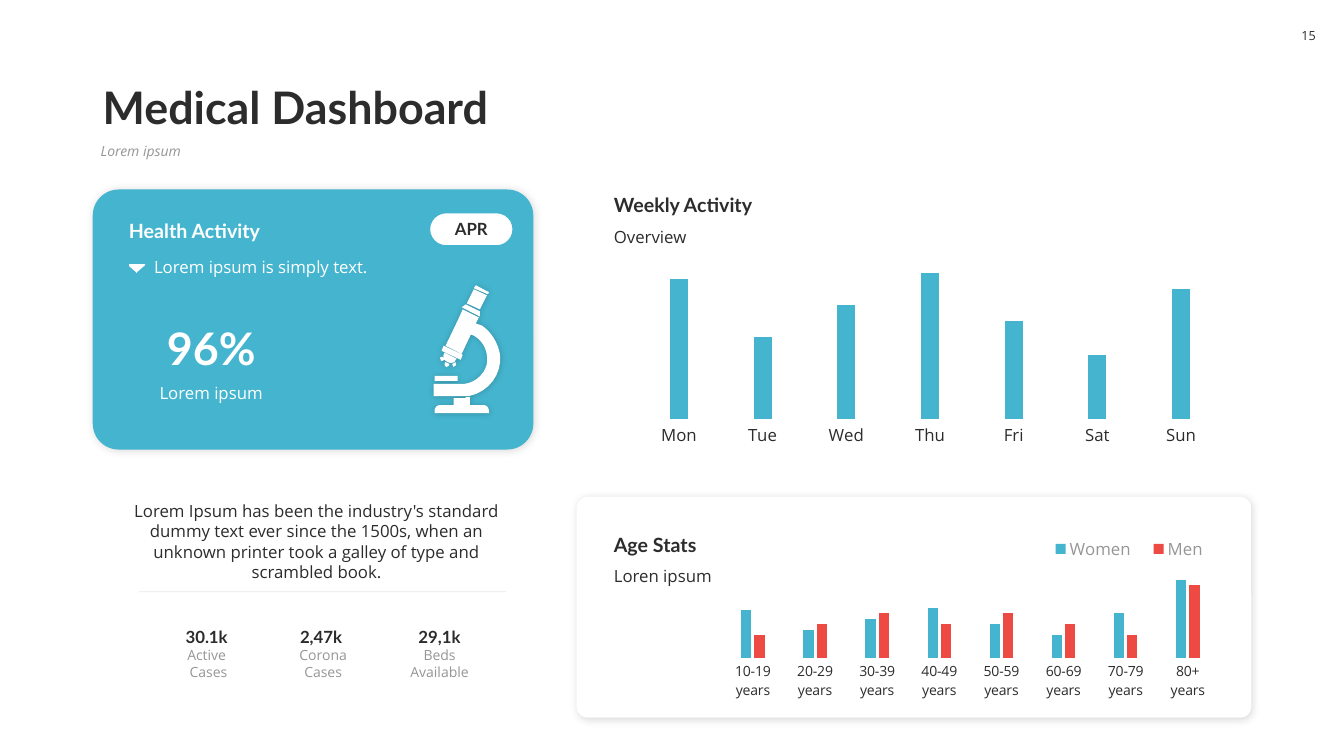
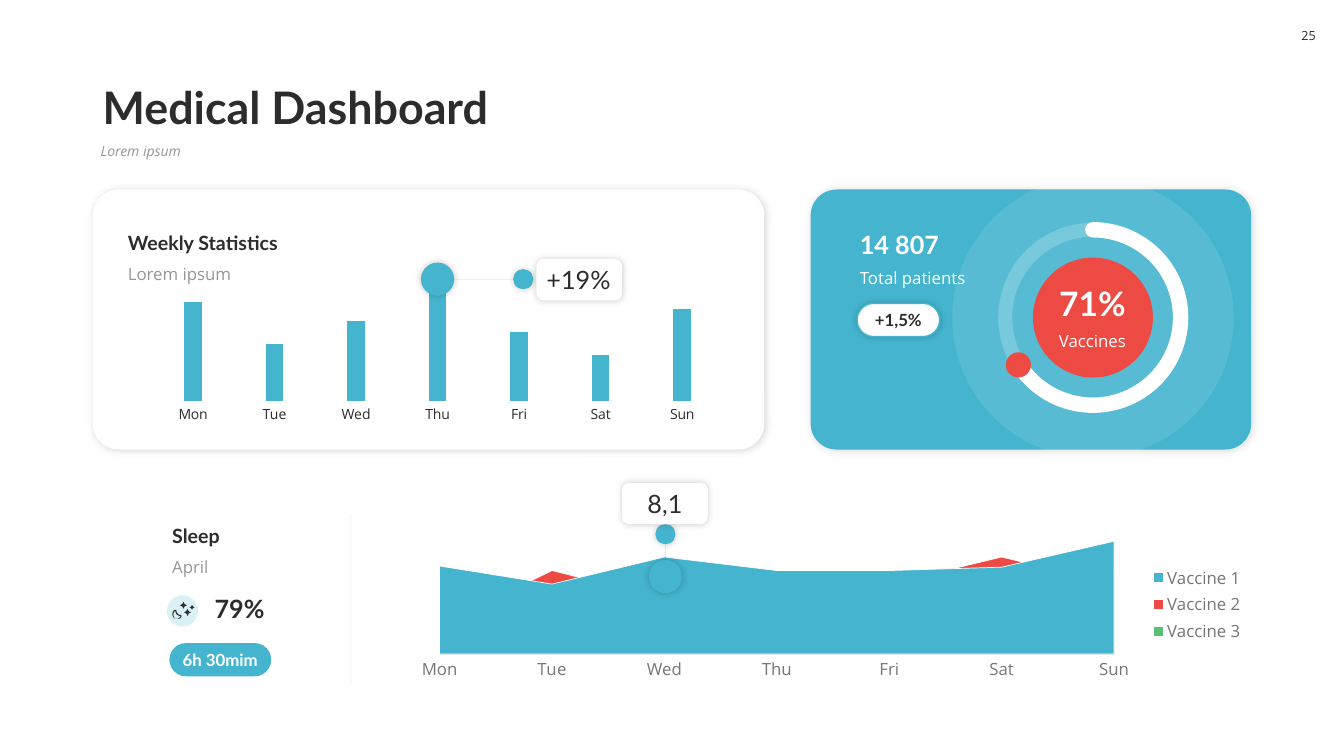
from dataclasses import dataclass
from functools import partial

from lxml.etree import SubElement
from pptx import Presentation
from pptx.chart.data import CategoryChartData
from pptx.dml.color import RGBColor
from pptx.enum.chart import XL_CHART_TYPE, XL_LEGEND_POSITION, XL_TICK_MARK
from pptx.enum.shapes import MSO_CONNECTOR, MSO_SHAPE
from pptx.enum.text import MSO_ANCHOR, PP_ALIGN
from pptx.oxml.ns import qn
from pptx.util import Inches, Pt


@dataclass(frozen=True)
class Theme:
    blue: str = "45B5CF"
    red: str = "ED4A43"
    green: str = "5BBE77"
    ink: str = "2C2C2C"
    gray: str = "969696"
    slate: str = "767676"
    rule: str = "DFDFDF"
    white: str = "FFFFFF"
    head: str = "Lato"
    body: str = "Open Sans"
    huge: int = 32
    large: int = 24
    big: int = 18
    mid: int = 14
    base: int = 12
    small: int = 10
    tiny: int = 9


T = Theme()
GLOW = (20, 5, 0)
DROP = (15, 6, 1)
LEFT, MID = PP_ALIGN.LEFT, PP_ALIGN.CENTER
TOP, CENTER, LOW = MSO_ANCHOR.TOP, MSO_ANCHOR.MIDDLE, MSO_ANCHOR.BOTTOM
OVAL, ROUND = MSO_SHAPE.OVAL, MSO_SHAPE.ROUNDED_RECTANGLE
DAYS = ("Mon", "Tue", "Wed", "Thu", "Fri", "Sat", "Sun")
AGES = [f"{n}-{n + 9} years" for n in range(10, 80, 10)] + ["80+ years"]

ARROW = ["144,263 136,270 C 136,271 135,271 135,270 128,264 "
         "C 128,262 128,262 129,262 143,262 C 144,262 144,262 144,263"]
SCOPE = [
    "466,394 466,402 480,402 C 483,402 485,405 485,408 485,410 431,410 431,408 "
    "C 431,405 433,402 436,402 450,402 450,395 462,395 462,394",
    "454,373 454,378 431,378 431,373",
    "452,359 452,361 C 453,362 452,363 451,363 450,364 C 450,364 449,363 449,362 448,361 449,361",
    "442,359 C 443,360 443,360 444,360 C 444,360 445,360 445,361 446,361 445,363 "
    "C 444,364 443,364 442,364 442,363 C 441,363 441,362 441,361",
    "439,354 440,356 441,357 439,358 C 438,358 437,358 437,357 437,356 C 436,356 437,355 437,354",
    "441,350 453,356 452,357 C 451,360 447,361 444,359 C 441,358 439,355 440,352",
    "440,343 459,352 457,357 438,348",
    "459,307 475,315 472,321 478,323 C 487,329 494,340 496,352 C 498,371 485,389 465,393 "
    "430,393 430,381 460,381 465,380 C 477,376 485,365 483,353 C 482,344 477,337 470,333 "
    "467,332 458,351 442,343 454,318",
    "462,302 476,309 476,314 458,305",
    "470,287 483,293 476,307 463,301",
    "472,283 485,290 484,292 470,286",
]
MOON = ["175,606 C 175,605 175,605 174,605 C 172,605 171,607 171,610 "
        "C 171,612 173,614 176,614 C 178,614 180,613 180,611 C 180,610 180,610 179,610 "
        "C 177,610 175,608 175,606",
        "176,614 C 173,614 172,612 172,610 C 172,608 173,606 174,606 "
        "C 174,609 176,611 179,611 C 179,612 177,614 176,614"]
STARS = [(190.5, 602.5, 2.5), (182, 600.5, 3.5), (186, 607.5, 3.5)]


def tone(code):
    return RGBColor.from_string(code)


def fade(node, part):
    for clr in list(node.iter(qn("a:srgbClr"))):
        SubElement(clr, qn("a:alpha"), val=str(part * 1000))


def shade(shape, glow):
    shape.shadow.inherit = False
    if glow:
        part, blur, dist = glow
        node = SubElement(shape.element.spPr.xpath("a:effectLst")[0], qn("a:outerShdw"),
                          blurRad=str(Pt(blur)), dist=str(Pt(dist)),
                          dir="2700000", rotWithShape="0")
        SubElement(node, qn("a:srgbClr"), val="000000")
        fade(node, part)


def write(frame, words, size=T.base, color=T.ink, face=T.body, bold=False,
          slant=False, align=LEFT, lead=None):
    para = frame.paragraphs[0]
    if para.runs:
        para = frame.add_paragraph()
    para.alignment = align
    if lead:
        para.line_spacing = lead
    run = para.add_run()
    run.text = words
    font = run.font
    font.size, font.name, font.bold, font.italic = Pt(size), face, bold, slant
    font.color.rgb = tone(color)


def area(slide, box, anchor=TOP):
    frame = slide.shapes.add_textbox(*map(Inches, box)).text_frame
    frame.word_wrap = True
    frame.vertical_anchor = anchor
    return frame


def label(slide, box, words, anchor=TOP, **look):
    write(area(slide, box, anchor), words, **look)


head = partial(label, anchor=LOW, face=T.head, bold=True, size=T.mid)


def form(slide, kind, box, fill=None, line=None, width=1, part=None, bend=(), glow=None):
    shape = slide.shapes.add_shape(kind, *map(Inches, box))
    for i, value in enumerate(bend):
        shape.adjustments[i] = value
    if fill:
        shape.fill.solid()
        shape.fill.fore_color.rgb = tone(fill)
    else:
        shape.fill.background()
    if line:
        shape.line.color.rgb = tone(line)
        shape.line.width = Pt(width)
    else:
        shape.line.fill.background()
    if part:
        fade(shape.element.spPr, part)
    shade(shape, glow)
    return shape


def badge(slide, box, words, pad=(0, 0), look=None, wrap=True, **style):
    frame = form(slide, ROUND, box, **style).text_frame
    frame.margin_left = frame.margin_right = Inches(pad[0])
    frame.margin_top = frame.margin_bottom = Inches(pad[1])
    frame.word_wrap = wrap
    frame.vertical_anchor = CENTER
    write(frame, words, **{"align": MID, "face": T.head, **(look or {})})


def pill(slide, box, words, color=T.ink, **style):
    badge(slide, box, words, look={"bold": True, "color": color}, bend=[0.5], **style)


def rule(slide, start, end):
    line = slide.shapes.add_connector(MSO_CONNECTOR.STRAIGHT, *map(Inches, start + end))
    line.line.color.rgb = tone(T.ink)
    line.line.width = Pt(0.5)
    fade(line.element.spPr, 10)
    SubElement(line.element.spPr, qn("a:effectLst"))


def trace(path):
    marks = iter(path.split())
    spots = []

    def spot(mark):
        return tuple(float(n) for n in mark.split(","))

    for mark in marks:
        if mark != "C":
            spots.append(spot(mark))
            continue
        a, b, c, d = spots[-1], *(spot(next(marks)) for _ in range(3))
        for step in range(1, 9):
            t = step / 8
            u = 1 - t
            spots.append(tuple(u**3 * p + 3 * u * u * t * q + 3 * u * t * t * r + t**3 * s
                               for p, q, r, s in zip(a, b, c, d)))
    return [tuple(Inches(n / 100) for n in pair) for pair in spots]


def draw(slide, paths, fill, glow=None):
    first, *rest = [trace(path) for path in paths]
    pen = slide.shapes.build_freeform(*first[0])
    pen.add_line_segments(first[1:], close=True)
    for spots in rest:
        pen.move_to(*spots[0])
        pen.add_line_segments(spots[1:], close=True)
    shape = pen.convert_to_shape()
    shape.fill.solid()
    shape.fill.fore_color.rgb = tone(fill)
    shape.line.fill.background()
    shade(shape, glow)


def star(x, y, r):
    k = r / 3
    spots = [(0, -r), (k, -k), (r, 0), (k, k), (0, r), (-k, k), (-r, 0), (-k, -k)]
    return " ".join(f"{x + a},{y + b}" for a, b in spots)


def place(node, index, box, spot):
    for old in node.xpath("c:layout"):
        node.remove(old)
    root = SubElement(node, qn("c:layout"))
    node.insert(index, root)
    grid = SubElement(root, qn("c:manualLayout"))
    if index == 0:
        SubElement(grid, qn("c:layoutTarget"), val="inner")
    left, top, wide, high = box
    x, y, w, h = spot
    for name in ("xMode", "yMode"):
        SubElement(grid, qn(f"c:{name}"), val="edge")
    sides = ((x - left) / wide, (y - top) / high, w / wide, h / high)
    for name, value in zip("xywh", sides):
        SubElement(grid, qn(f"c:{name}"), val=f"{value:.4f}")


def graph(slide, box, plot, cats, rows, size=T.base, gap=360, color=T.ink,
          key=None, side=None, tint=T.gray, filled=False):
    data = CategoryChartData()
    data.categories = cats
    for name, values, _ in rows:
        data.add_series(name, values)
    kind = XL_CHART_TYPE.AREA if filled else XL_CHART_TYPE.COLUMN_CLUSTERED
    chart = slide.shapes.add_chart(kind, *map(Inches, box), data).chart
    chart.has_title = False
    chart.font.size, chart.font.name = Pt(T.base), T.body
    chart.font.color.rgb = tone(T.ink)
    value = chart.value_axis
    value.has_major_gridlines = False
    value.minimum_scale, value.maximum_scale = 0, 100
    value.visible = False
    axis = chart.category_axis
    axis.major_tick_mark = XL_TICK_MARK.NONE
    font = axis.tick_labels.font
    font.size, font.name = Pt(size), T.body
    font.color.rgb = tone(color)
    group = chart.plots[0]
    group.vary_by_categories = False
    for item, (_, _, fill) in zip(group.series, rows):
        item.format.fill.solid()
        item.format.fill.fore_color.rgb = tone(fill)
        if filled:
            item.format.line.color.rgb = tone(T.white)
            item.format.line.width = Pt(0.5)
    if filled:
        axis.format.line.color.rgb = tone(T.rule)
        axis.format.line.width = Pt(0.75)
        chart.element.xpath(".//c:crossBetween")[0].set("val", "midCat")
    else:
        axis.format.line.fill.background()
        group.gap_width, group.overlap = gap, -30
    place(chart.element.xpath(".//c:plotArea")[0], 0, box, plot)
    chart.has_legend = bool(key)
    if key:
        legend = chart.legend
        legend.position = side
        legend.include_in_layout = False
        legend.font.size, legend.font.name = Pt(T.base), T.body
        legend.font.color.rgb = tone(tint)
        place(chart.element.xpath(".//c:legend")[0], 1, box, key)


def dot(slide, x, y, size, **style):
    form(slide, OVAL, (x - size / 2, y - size / 2, size, size), **style)


def flag(slide, big, small, line, box, words, align):
    dot(slide, *big, 0.33, fill=T.blue, glow=GLOW)
    rule(slide, *line)
    dot(slide, *small, 0.2, fill=T.blue, glow=GLOW)
    badge(slide, box, words, pad=(0.08, 0.05), look={"size": T.big, "align": align},
          fill=T.white, glow=GLOW)


def card(slide, box, fill=T.white, bend=0.1):
    form(slide, ROUND, box, fill=fill, bend=[bend], glow=DROP)


def start(deck, page):
    slide = deck.slides.add_slide(deck.slide_layouts[6])
    head(slide, (0.92, 0.58, 11.5, 0.8), "Medical Dashboard", size=T.huge, lead=0.9)
    label(slide, (0.9, 1.38, 11.52, 0.36), "Lorem ipsum", size=T.small,
          color=T.gray, slant=True, lead=0.9)
    badge(slide, (12.8, 0.18, 0.36, 0.35), page, pad=(0, 0.05), wrap=False,
          look={"size": T.tiny, "face": T.body}, fill=T.white, bend=[0.27])
    return slide


def health(deck):
    slide = start(deck, "15")
    card(slide, (0.92, 1.88, 4.37, 2.58), T.blue)
    head(slide, (1.28, 3.12, 1.63, 0.64), "96%", size=T.huge, color=T.white, align=MID)
    label(slide, (1.28, 3.75, 1.63, 0.3), "Lorem ipsum", color=T.white, align=MID)
    pill(slide, (4.26, 2.11, 0.83, 0.33), "APR", fill=T.white, line=T.blue)
    head(slide, (1.18, 2.11, 2.51, 0.34), "Health Activity", color=T.white)
    label(slide, (1.43, 2.5, 3.67, 0.3), "Lorem ipsum is simply text.", color=T.white)
    draw(slide, ARROW, T.white)
    draw(slide, SCOPE, T.white, GLOW)
    head(slide, (5.99, 1.86, 2.86, 0.34), "Weekly Activity")
    label(slide, (5.99, 2.2, 2.86, 0.3), "Overview")
    graph(slide, (6.2, 2.5, 6.05, 1.96), (6.32, 2.71, 5.81, 1.45), DAYS,
          [("Series 1", (96, 56, 78, 100, 67, 44, 89), T.blue)])
    rule(slide, (1.38, 5.87), (5.02, 5.87))
    stats = [("30.1k", "Active", " Cases"), ("2,47k ", "Corona Cases"),
             ("29,1k", "Beds Available")]
    for i, (count, *notes) in enumerate(stats):
        frame = area(slide, (1.55 + i * 1.155, 6.16, 1, 0.64), CENTER)
        write(frame, count, face=T.head, bold=True, align=MID)
        for note in notes:
            write(frame, note, size=T.small, color=T.gray, align=MID)
    label(slide, (1.03, 4.92, 4.22, 0.71),
          "Lorem Ipsum has been the industry's standard dummy text ever since the 1500s, "
          "when an unknown printer took a galley of type and scrambled book.", align=MID)
    card(slide, (5.72, 4.93, 6.69, 2.19), bend=0.05)
    graph(slide, (7.06, 5.23, 5.13, 1.75), (7.16, 5.75, 4.93, 0.78), AGES,
          [("Women", (61, 36, 50, 64, 43, 29, 57, 100), T.blue),
           ("Men", (29, 43, 57, 43, 57, 43, 29, 93), T.red)],
          size=T.small, gap=380, key=(10.3, 5.31, 1.8, 0.27), side=XL_LEGEND_POSITION.TOP)
    head(slide, (5.99, 5.23, 2.2, 0.34), "Age Stats")
    label(slide, (5.99, 5.56, 2.2, 0.3), "Loren ipsum")


def weekly(deck):
    slide = start(deck, "25")
    card(slide, (0.92, 1.88, 6.66, 2.58))
    graph(slide, (1.39, 2.57, 5.89, 1.67), (1.51, 2.84, 5.66, 1.14), DAYS,
          [("Series 1", (86, 50, 70, 100, 60, 40, 80), T.blue)], size=T.small)
    head(slide, (1.17, 2.23, 2, 0.34), "Weekly Statistics")
    label(slide, (1.17, 2.57, 2, 0.3), "Lorem ipsum", color=T.gray)
    flag(slide, (4.34, 2.77), (5.19, 2.77), ((4.51, 2.77), (5.12, 2.77)),
         (5.32, 2.57, 0.85, 0.41), "+19%", LEFT)

    card(slide, (8.04, 1.88, 4.37, 2.58), T.blue)
    hub = (10.84, 3.15)
    dot(slide, *hub, 2.79, fill=T.white, part=10)
    dot(slide, *hub, 1.19, fill=T.red)
    dot(slide, *hub, 1.74, line=T.white, width=10, part=20)
    ring = form(slide, MSO_SHAPE.ARC, (9.97, 2.28, 1.74, 1.74), line=T.white,
                width=11, bend=[162, 84.39])
    ring.element.spPr.xpath("a:ln")[0].set("cap", "rnd")
    dot(slide, 10.1, 3.62, 0.25, fill=T.red)
    head(slide, (10.24, 2.76, 1.19, 0.5), "71%", size=T.large, color=T.white, align=MID)
    label(slide, (10.24, 3.23, 1.19, 0.3), "Vaccines", color=T.white, align=MID)
    head(slide, (8.43, 2.22, 1.86, 0.4), "14 807", size=T.big, color=T.white)
    label(slide, (8.43, 2.61, 1.86, 0.3), "Total patients", color=T.white)
    pill(slide, (8.5, 3.01, 0.82, 0.33), "+1,5%", fill=T.white, line=T.blue, glow=GLOW)

    head(slide, (1.61, 5.14, 1.66, 0.34), "Sleep")
    label(slide, (1.61, 5.47, 1.66, 0.3), "April", color=T.gray)
    dot(slide, 1.81, 6.06, 0.31, fill=T.blue, part=20)
    head(slide, (2.03, 5.84, 1.24, 0.4), "79%", size=T.big)
    pill(slide, (1.68, 6.38, 1.01, 0.33), "6h 30mim", color=T.white, fill=T.blue)
    draw(slide, MOON, T.ink)
    draw(slide, [star(*spot) for spot in STARS], T.ink)
    rule(slide, (3.48, 6.8), (3.48, 5.1))
    graph(slide, (4.02, 5.21, 8.41, 1.58), (4.36, 5.37, 6.69, 1.12), DAYS,
          [("Vaccine 1", (78, 62, 86, 74, 74, 77, 100), T.blue),
           ("Vaccine 2", (25, 74, 49, 37, 62, 86, 62), T.red),
           ("Vaccine 3", (37, 49, 25, 25, 49, 62, 74), T.green)],
          color=T.slate, tint=T.slate, key=(11.37, 5.58, 1, 0.84),
          side=XL_LEGEND_POSITION.RIGHT, filled=True)
    flag(slide, (6.6, 5.72), (6.6, 5.3), ((6.6, 5.41), (6.6, 5.56)),
         (6.17, 4.79, 0.85, 0.41), "8,1", MID)


def main():
    deck = Presentation()
    deck.slide_width, deck.slide_height = Inches(13.33), Inches(7.5)
    health(deck)
    weekly(deck)
    deck.save("out.pptx")


if __name__ == "__main__":
    main()
